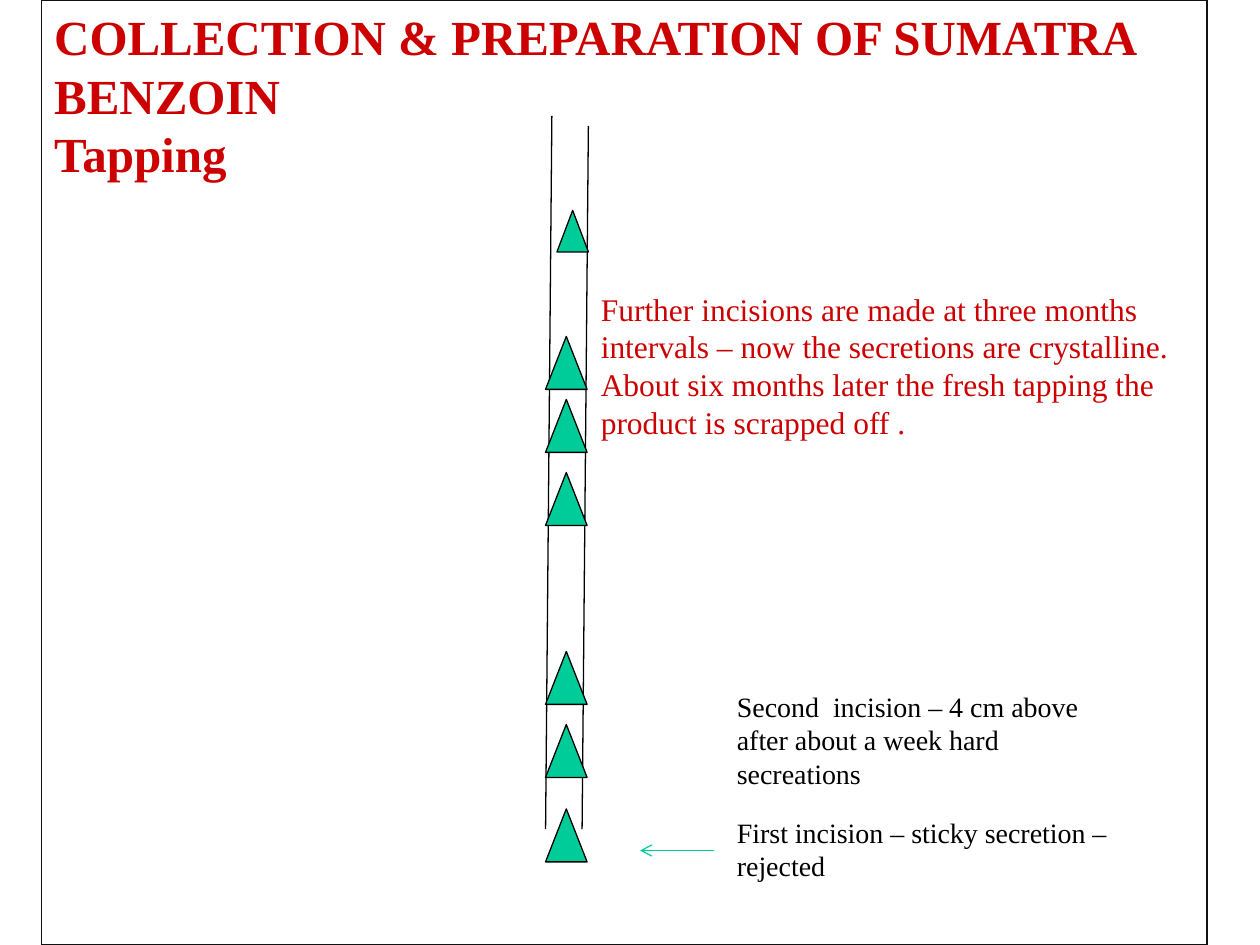
from dataclasses import dataclass

from lxml import etree
from pptx import Presentation
from pptx import util as u
from pptx.dml.color import RGBColor
from pptx.enum import shapes, text
from pptx.oxml import ns
from pptx.shapes.connector import Connector
from pptx.slide import Slide
from pptx.text.text import TextFrame

RED = RGBColor(0xCC, 0x00, 0x00)
GREEN = RGBColor(0x00, 0xCC, 0x99)
BLACK = RGBColor(0x00, 0x00, 0x00)
FRAME_GREY = RGBColor(0x11, 0x11, 0x11)
FONT = "Times New Roman"
LINE_WIDTH = u.Pt(0.75)


@dataclass
class Incision:
    left: float
    top: float
    width: float = 0.33
    height: float = 0.42


@dataclass
class Note:
    left: float
    top: float
    width: float
    height: float
    words: str
    size: int
    color: RGBColor


@dataclass
class Stroke:
    x1: float
    y1: float
    x2: float
    y2: float
    color: RGBColor = BLACK


INCISIONS = [Incision(4.33, top) for top in (5.75, 6.42, 5.17, 3.75, 3.17, 2.67)]
INCISIONS.append(Incision(4.42, 1.67, 0.25, 0.33))

TRUNK_SIDES = [Stroke(4.38, 0.92, 4.33, 6.58), Stroke(4.67, 1, 4.62, 6.58)]
FIRST_INCISION_POINTER = Stroke(5.67, 6.75, 5.08, 6.75, GREEN)

NOTES = [
    Note(5.75, 6.42, 3.17, 0.64,
         "First incision – sticky secretion – rejected", 16, BLACK),
    Note(5.75, 5.42, 3.17, 0.9,
         "Second  incision – 4 cm above after about a week hard secreations",
         16, BLACK),
    Note(4.67, 2.25, 5, 1.6,
         "Further incisions are made at three months intervals – now the "
         "secretions are crystalline. About six months later the fresh tapping "
         "the product is scrapped off .", 18, RED),
]


def write(frame: TextFrame, words: str, size: int, color: RGBColor,
          bold: bool = False) -> None:
    frame.text = words
    frame.word_wrap = True
    frame.auto_size = text.MSO_AUTO_SIZE.NONE
    frame.vertical_anchor = text.MSO_ANCHOR.TOP
    paragraph = frame.paragraphs[0]
    paragraph.alignment = text.PP_ALIGN.LEFT
    paragraph.font.name = FONT
    paragraph.font.size = u.Pt(size)
    paragraph.font.bold = bold
    paragraph.font.color.rgb = color


def add_title(slide: Slide) -> None:
    title = slide.shapes.title
    title.left, title.top = u.Inches(0.33), u.Inches(0)
    title.width, title.height = u.Inches(9.25), u.Inches(1.5)
    write(title.text_frame,
          "COLLECTION & PREPARATION OF SUMATRA BENZOIN \vTapping", 28, RED, True)


def add_frame(slide: Slide) -> None:
    frame = slide.shapes.add_shape(
        shapes.MSO_SHAPE.RECTANGLE,
        u.Inches(0.33), u.Inches(0), u.Inches(9.25), u.Inches(7.5))
    frame.shadow.inherit = False
    frame.fill.background()
    frame.line.color.rgb = FRAME_GREY
    frame.line.width = u.Pt(0)


def add_stroke(slide: Slide, stroke: Stroke) -> Connector:
    line = slide.shapes.add_connector(
        shapes.MSO_CONNECTOR.STRAIGHT,
        u.Inches(stroke.x1), u.Inches(stroke.y1),
        u.Inches(stroke.x2), u.Inches(stroke.y2))
    line.line.color.rgb = stroke.color
    line.line.width = LINE_WIDTH
    etree.SubElement(line._element.spPr, ns.qn("a:effectLst"))
    return line


def add_arrow(slide: Slide, stroke: Stroke) -> None:
    arrow = add_stroke(slide, stroke)
    outline = arrow.line._get_or_add_ln()
    etree.SubElement(outline, ns.qn("a:tailEnd"), type="arrow")


def add_incision(slide: Slide, incision: Incision) -> None:
    triangle = slide.shapes.add_shape(
        shapes.MSO_SHAPE.ISOSCELES_TRIANGLE,
        u.Inches(incision.left), u.Inches(incision.top),
        u.Inches(incision.width), u.Inches(incision.height))
    triangle.shadow.inherit = False
    triangle.fill.solid()
    triangle.fill.fore_color.rgb = GREEN
    triangle.line.color.rgb = BLACK
    triangle.line.width = LINE_WIDTH


def add_note(slide: Slide, note: Note) -> None:
    box = slide.shapes.add_textbox(
        u.Inches(note.left), u.Inches(note.top),
        u.Inches(note.width), u.Inches(note.height))
    write(box.text_frame, note.words, note.size, note.color)


def main() -> None:
    deck = Presentation()
    deck.slide_width, deck.slide_height = u.Inches(10), u.Inches(7.5)
    slide = deck.slides.add_slide(deck.slide_layouts[5])
    add_title(slide)
    add_frame(slide)
    for side in TRUNK_SIDES:
        add_stroke(slide, side)
    for incision in INCISIONS:
        add_incision(slide, incision)
    add_arrow(slide, FIRST_INCISION_POINTER)
    for note in NOTES:
        add_note(slide, note)
    deck.save("out.pptx")


if __name__ == "__main__":
    main()
